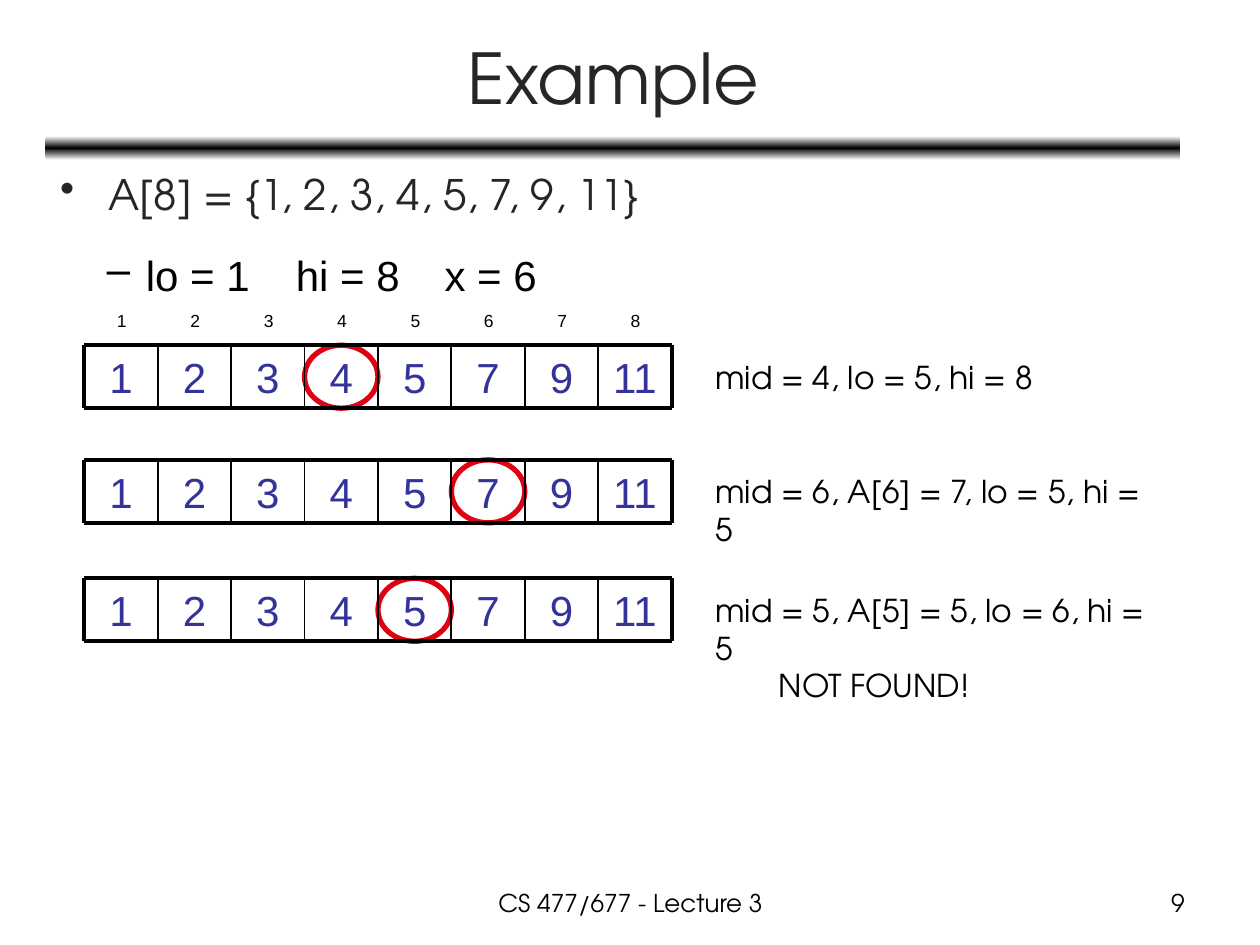
from copy import deepcopy
from dataclasses import dataclass

from lxml.etree import SubElement
from pptx import Presentation
from pptx.dml.color import RGBColor
from pptx.enum.shapes import MSO_CONNECTOR, MSO_SHAPE
from pptx.enum.text import MSO_ANCHOR, MSO_AUTO_SIZE, PP_ALIGN
from pptx.oxml.ns import qn
from pptx.util import Inches, Pt


@dataclass(frozen=True)
class Theme:
    heading_font: str = "TeX Gyre Adventor"
    plain_font: str = "Arial"
    black: str = "000000"
    white: str = "FFFFFF"
    heading: str = "262626"
    number: str = "333399"
    marker: str = "DD0111"
    title_size: int = 40
    body_size: int = 24
    note_size: int = 18
    footer_size: int = 14
    index_size: int = 10
    border: float = 2.25
    divider: float = 1
    marker_line: float = 3


VALUES = [1, 2, 3, 4, 5, 7, 9, 11]
GRID_LEFT, GRID_RIGHT = 0.67, 5.33
CELL_WIDTH = (GRID_RIGHT - GRID_LEFT) / len(VALUES)
CELL_HEIGHT = 0.5

# top of the array, position of mid, width of the note, note
STEPS = [
    (2.74, 4, 3, "mid = 4, lo = 5, hi = 8"),
    (3.65, 6, 3.75, "mid = 6, A[6] = 7, lo = 5, hi = 5"),
    (4.59, 5, 3.75, "mid = 5, A[5] = 5, lo = 6, hi = 5\n\tNOT FOUND!"),
]


class SlideBuilder:
    def __init__(self, slide, theme):
        self.slide = slide
        self.theme = theme

    def text(self, left, top, width, height, text, size, color=None, font=None,
             align=PP_ALIGN.LEFT, anchor=MSO_ANCHOR.TOP, grow=False):
        box = self.slide.shapes.add_textbox(
            Inches(left), Inches(top), Inches(width), Inches(height))
        frame = box.text_frame
        frame.word_wrap = True
        frame.vertical_anchor = anchor
        if grow:
            frame.auto_size = MSO_AUTO_SIZE.SHAPE_TO_FIT_TEXT
        frame.text = text
        for paragraph in frame.paragraphs:
            paragraph.alignment = align
            for run in paragraph.runs:
                run.font.size = Pt(size)
                run.font.name = font or self.theme.heading_font
                run.font.color.rgb = RGBColor.from_string(color or self.theme.black)
        return frame

    def bullet(self, paragraph, character, indent, hanging, tabs=()):
        properties = paragraph._p.get_or_add_pPr()
        properties.set("marL", str(Inches(indent)))
        properties.set("indent", str(-Inches(hanging)))
        SubElement(properties, qn("a:buChar"), char=character)
        if tabs:
            tab_list = SubElement(properties, qn("a:tabLst"))
            for position in tabs:
                SubElement(tab_list, qn("a:tab"), pos=str(Inches(position)), algn="l")

    def line(self, x1, y1, x2, y2, width):
        connector = self.slide.shapes.add_connector(
            MSO_CONNECTOR.STRAIGHT, Inches(x1), Inches(y1), Inches(x2), Inches(y2))
        connector.line.color.rgb = RGBColor.from_string(self.theme.black)
        connector.line.width = Pt(width)
        SubElement(connector._element.spPr, qn("a:effectLst"))

    def title_bar(self, left, top, width, height):
        """Rounded bar that fades from white to black and back."""
        bar = self.slide.shapes.add_shape(
            MSO_SHAPE.ROUNDED_RECTANGLE,
            Inches(left), Inches(top), Inches(width), Inches(height))
        bar.shadow.inherit = False
        bar.line.fill.background()
        bar.fill.gradient()
        bar.fill.gradient_angle = 90
        stop_list = bar._element.spPr.find(".//" + qn("a:gsLst"))
        stop_list.append(deepcopy(stop_list[0]))
        colors = (self.theme.white, self.theme.black, self.theme.white)
        for stop, color, position in zip(bar.fill.gradient_stops, colors, (0, 0.5, 1)):
            stop.color.rgb = RGBColor.from_string(color)
            stop.position = position

    def ring(self, left, top, width, height):
        ellipse = self.slide.shapes.add_shape(
            MSO_SHAPE.OVAL, Inches(left), Inches(top), Inches(width), Inches(height))
        ellipse.shadow.inherit = False
        ellipse.fill.background()
        ellipse.line.color.rgb = RGBColor.from_string(self.theme.marker)
        ellipse.line.width = Pt(self.theme.marker_line)

    def array(self, top, middle):
        """One row of the array with the middle element ringed."""
        theme = self.theme
        bottom = top + CELL_HEIGHT
        self.ring(GRID_LEFT + (middle - 1) * CELL_WIDTH, top, CELL_WIDTH, CELL_HEIGHT)
        for column, value in enumerate(VALUES):
            self.text(GRID_LEFT + column * CELL_WIDTH, top, CELL_WIDTH, CELL_HEIGHT,
                      str(value), theme.body_size, theme.number, theme.plain_font,
                      PP_ALIGN.CENTER, MSO_ANCHOR.MIDDLE)
        for y in (top, bottom):
            self.line(GRID_LEFT, y, GRID_RIGHT, y, theme.border)
        for column in range(len(VALUES) + 1):
            x = GRID_LEFT + column * CELL_WIDTH
            outer = column in (0, len(VALUES))
            self.line(x, top, x, bottom, theme.border if outer else theme.divider)

    def indexes(self, top):
        for column in range(len(VALUES)):
            self.text(GRID_LEFT + 0.16 + column * CELL_WIDTH, top, 0.25, 0.27,
                      str(column + 1), self.theme.index_size,
                      font=self.theme.plain_font, grow=True)


def main():
    presentation = Presentation()
    presentation.slide_width = Inches(10)
    presentation.slide_height = Inches(7.5)
    theme = Theme()
    slide = presentation.slides.add_slide(presentation.slide_layouts[6])
    builder = SlideBuilder(slide, theme)

    builder.title_bar(0.36, 1.08, 9.01, 0.19)
    builder.text(3.42, 7, 3.17, 0.35, "CS 477/677 - Lecture 3", theme.footer_size,
                 align=PP_ALIGN.CENTER)
    builder.text(7.17, 7, 2.33, 0.35, "9", theme.footer_size, align=PP_ALIGN.RIGHT)
    builder.text(0.37, 0.11, 9, 0.99, "Example", theme.title_size, theme.heading,
                 align=PP_ALIGN.CENTER, anchor=MSO_ANCHOR.MIDDLE)

    listing = ", ".join(str(value) for value in VALUES)
    declaration = builder.text(0.38, 1.33, 9.03, 0.5, f"A[8] = {{{listing}}}",
                               theme.body_size, theme.heading).paragraphs[0]
    builder.bullet(declaration, "•", 0.38, 0.38)
    declaration.line_spacing = 0.9

    bounds = builder.text(0.25, 1.93, 9.03, 0.58, "lo = 1\thi = 8\tx = 6",
                          theme.body_size, font=theme.plain_font).paragraphs[0]
    bounds.level = 1
    builder.bullet(bounds, "–", 0.81, 0.31, tabs=(2, 3.18))

    builder.indexes(2.41)
    for top, middle, note_width, note in STEPS:
        builder.array(top, middle)
        builder.text(5.58, top + 0.05, note_width, 0.7 if "\n" in note else 0.4,
                     note, theme.note_size, grow=True)

    presentation.save("out.pptx")


if __name__ == "__main__":
    main()
